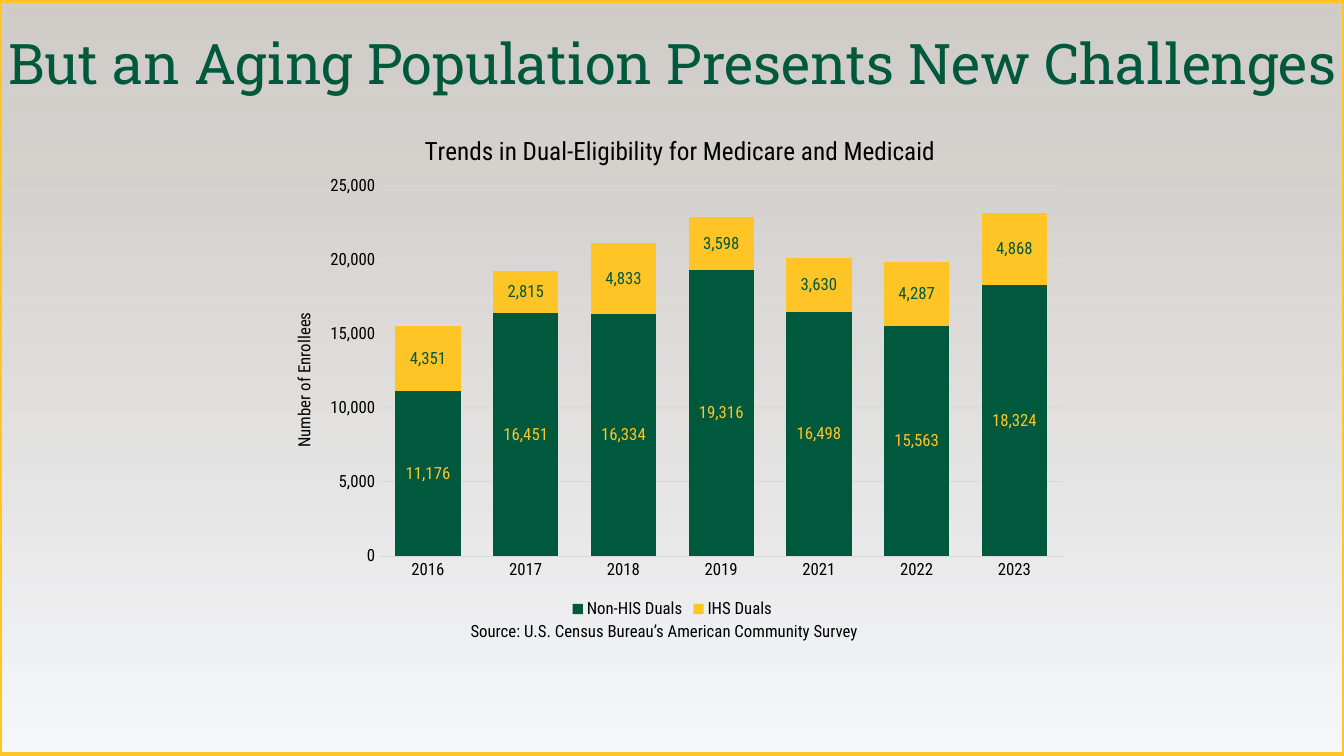
"""Build a slide on dual-eligibility trends with a stacked column chart."""
from dataclasses import dataclass

import lxml.etree
import pptx
import pptx.chart.data
import pptx.dml.color
import pptx.enum.chart
import pptx.enum.shapes
import pptx.enum.text
import pptx.oxml
import pptx.oxml.ns
import pptx.util

Pt = pptx.util.Pt
RGBColor = pptx.dml.color.RGBColor
qn = pptx.oxml.ns.qn

GREEN = RGBColor(0x00, 0x58, 0x3D)
GOLD = RGBColor(0xFF, 0xC4, 0x25)
BLACK = RGBColor(0x00, 0x00, 0x00)
GRID_GRAY = RGBColor(0xD9, 0xD9, 0xD9)
WARM_GRAY = RGBColor(0xCB, 0xC7, 0xC2)
PALE_BLUE = RGBColor(0xF6, 0xF8, 0xFC)
BODY_FONT = "Roboto Condensed"
TITLE_FONT = "Roboto Slab"
NUMBER_FORMAT = "#,##0"


@dataclass(frozen=True)
class EnrolleeGroup:
    name: str
    counts: tuple[int, ...]
    color: RGBColor
    label_color: RGBColor


@dataclass(frozen=True)
class GradientStop:
    position: int
    color: RGBColor
    opacity: int


YEARS = ("2016", "2017", "2018", "2019", "2021", "2022", "2023")
GROUPS = (
    EnrolleeGroup("Non-HIS Duals", (11176, 16451, 16334, 19316, 16498, 15563, 18324), GREEN, GOLD),
    EnrolleeGroup("IHS Duals", (4351, 2815, 4833, 3598, 3630, 4287, 4868), GOLD, GREEN),
)
BACKDROP_STOPS = (
    GradientStop(0, PALE_BLUE, 90),
    GradientStop(76, WARM_GRAY, 80),
    GradientStop(100, WARM_GRAY, 90),
)


def format_font(font, *, size: float = 12, color: RGBColor = BLACK, name: str = BODY_FONT) -> None:
    font.size = Pt(size)
    font.name = name
    font.bold = False
    font.color.rgb = color


def write_text(frame, text: str, *, size: float = 12, color: RGBColor = BLACK,
               name: str = BODY_FONT, align=None, spacing: float | None = None) -> None:
    para = frame.paragraphs[0]
    para.alignment = align
    para.line_spacing = spacing
    span = para.add_run()
    span.text = text
    format_font(span.font, size=size, color=color, name=name)


def place_chart_part(element, index: int, **fractions: float) -> None:
    for old_layout in element.findall(qn("c:layout")):
        element.remove(old_layout)
    layout = pptx.oxml.parse_xml(f"<c:layout {pptx.oxml.ns.nsdecls('c')}/>")
    manual = lxml.etree.SubElement(layout, qn("c:manualLayout"))
    settings: dict[str, object] = {"xMode": "edge", "yMode": "edge", **fractions}
    if "w" in fractions:
        settings = {"layoutTarget": "inner", **settings}
    for key, value in settings.items():
        lxml.etree.SubElement(manual, qn(f"c:{key}")).set("val", str(value))
    element.insert(index, layout)


def add_backdrop(page) -> None:
    backdrop = page.shapes.add_shape(
        pptx.enum.shapes.MSO_SHAPE.RECTANGLE, Pt(0), Pt(0.7), Pt(960), Pt(538))
    backdrop.shadow.inherit = False
    backdrop.line.color.rgb = GOLD
    backdrop.line.width = Pt(3)
    backdrop.fill.gradient()
    backdrop.fill.gradient_angle = 90
    stop_list = backdrop.element.spPr.find(".//" + qn("a:gsLst"))
    for old_stop in list(stop_list):
        stop_list.remove(old_stop)
    for stop in BACKDROP_STOPS:
        node = lxml.etree.SubElement(stop_list, qn("a:gs"), pos=str(stop.position * 1000))
        color = lxml.etree.SubElement(node, qn("a:srgbClr"), val=str(stop.color))
        lxml.etree.SubElement(color, qn("a:alpha"), val=str(stop.opacity * 1000))
    page.shapes.element.insert(2, backdrop.element)


def add_title(page) -> None:
    title = page.shapes.title
    title.left, title.top, title.width, title.height = Pt(-3.6), Pt(18), Pt(967.7), Pt(54.7)
    frame = title.text_frame
    frame.word_wrap = True
    frame.auto_size = pptx.enum.text.MSO_AUTO_SIZE.NONE
    frame.margin_left = frame.margin_right = Pt(0)
    frame.vertical_anchor = pptx.enum.text.MSO_ANCHOR.BOTTOM
    write_text(frame, "But an Aging Population Presents New Challenges", size=40, color=GREEN,
               name=TITLE_FONT, align=pptx.enum.text.PP_ALIGN.CENTER, spacing=0.9)


def format_axes(chart) -> None:
    for axis in (chart.category_axis, chart.value_axis):
        axis.major_tick_mark = axis.minor_tick_mark = pptx.enum.chart.XL_TICK_MARK.NONE
        format_font(axis.tick_labels.font)
    category_line = chart.category_axis.format.line
    category_line.color.rgb = GRID_GRAY
    category_line.width = Pt(0.75)
    values = chart.value_axis
    values.minimum_scale, values.maximum_scale, values.major_unit = 0, 25000, 5000
    values.tick_labels.number_format = NUMBER_FORMAT
    values.tick_labels.number_format_is_linked = False
    values.format.line.fill.background()
    values.major_gridlines.format.line.color.rgb = GRID_GRAY
    values.major_gridlines.format.line.width = Pt(0.75)
    frame = values.axis_title.text_frame
    write_text(frame, "Number of Enrollees")
    body = values.axis_title._element.find(".//" + qn("a:bodyPr"))
    body.set("rot", "-5400000")
    body.set("vert", "horz")


def format_groups(plot) -> None:
    plot.gap_width = 50
    plot.overlap = 100
    plot.vary_by_categories = False
    for series, group in zip(plot.series, GROUPS):
        series.format.fill.solid()
        series.format.fill.fore_color.rgb = group.color
        labels = series.data_labels
        labels.show_value = True
        labels.number_format = NUMBER_FORMAT
        labels.number_format_is_linked = False
        labels.position = pptx.enum.chart.XL_LABEL_POSITION.CENTER
        format_font(labels.font, color=group.label_color)


def add_enrollment_chart(page) -> None:
    data = pptx.chart.data.CategoryChartData(number_format=NUMBER_FORMAT)
    data.categories = YEARS
    for group in GROUPS:
        data.add_series(group.name, group.counts)
    chart = page.shapes.add_chart(
        pptx.enum.chart.XL_CHART_TYPE.COLUMN_STACKED,
        Pt(189.4), Pt(77.8), Pt(581.8), Pt(367.2), data).chart
    format_font(chart.font, size=10)
    chart.has_title = True
    write_text(chart.chart_title.text_frame,
               "Trends in Dual-Eligibility for Medicare and Medicaid", size=18)
    chart.chart_title.include_in_layout = False
    chart.has_legend = True
    chart.legend.position = pptx.enum.chart.XL_LEGEND_POSITION.BOTTOM
    chart.legend.include_in_layout = False
    format_font(chart.legend.font)
    format_axes(chart)
    format_groups(chart.plots[0])
    place_chart_part(chart.chart_title._element, 1, x=0.19, y=0.04)
    place_chart_part(chart.value_axis.axis_title._element, 1, x=0.03, y=0.39)
    plot_area = chart.element.find(".//" + qn("c:plotArea"))
    place_chart_part(plot_area, 0, x=0.14, y=0.15, w=0.84, h=0.72)


def add_source(page) -> None:
    box = page.shapes.add_textbox(Pt(329), Pt(440), Pt(301.7), Pt(21.8))
    box.text_frame.word_wrap = True
    box.text_frame.auto_size = pptx.enum.text.MSO_AUTO_SIZE.SHAPE_TO_FIT_TEXT
    write_text(box.text_frame, "Source: U.S. Census Bureau’s American Community Survey")


def main() -> None:
    deck = pptx.Presentation()
    deck.slide_width, deck.slide_height = Pt(960), Pt(540)
    page = deck.slides.add_slide(deck.slide_layouts.get_by_name("Title Only"))
    add_backdrop(page)
    add_title(page)
    add_enrollment_chart(page)
    add_source(page)
    deck.save("out.pptx")


if __name__ == "__main__":
    main()
